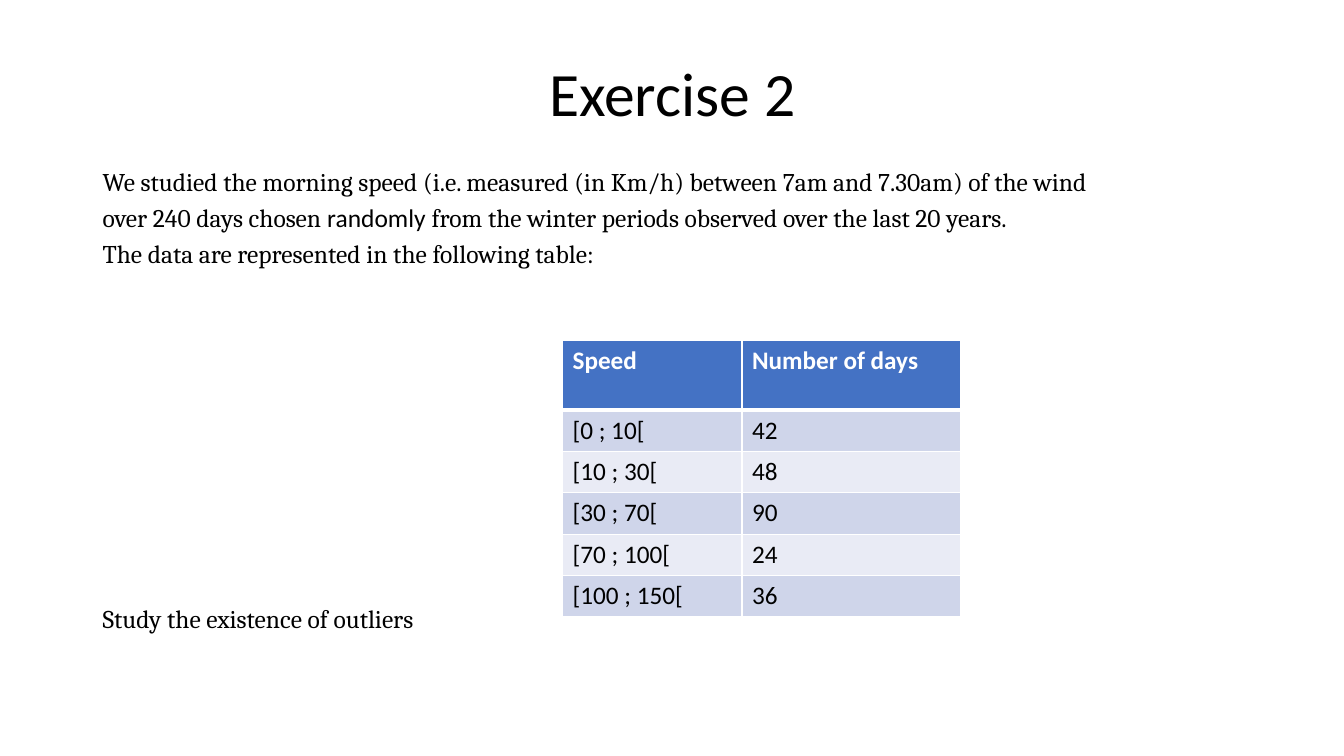
"""Build the Exercise 2 slide: wind speed data and a question on outliers."""
from lxml.etree import SubElement
from pptx import Presentation
from pptx.dml.color import RGBColor
from pptx.enum.text import MSO_ANCHOR, PP_ALIGN
from pptx.oxml.ns import qn
from pptx.util import Inches, Pt

TITLE = "Exercise 2"
INTRO = [
    [("We studied the morning speed (i.e. measured (in Km/h) between 7am and 7.30am) of the wind", "Cambria")],
    [("over 240 days chosen ", "Cambria"), ("randomly ", "Calibri"),
     ("from the winter periods observed over the last 20 years.", "Cambria")],
    [("The data are represented in the following table:", "Cambria")],
]
QUESTION = [[("Study the existence of outliers", "Cambria")]]
WIND = [
    ("Speed", "Number of days"),
    ("[0 ; 10[", "42"),
    ("[10 ; 30[", "48"),
    ("[30 ; 70[", "90"),
    ("[70 ; 100[", "24"),
    ("[100 ; 150[", "36"),
]
COLORS = {"text": "000000", "white": "FFFFFF", "header": "4472C4", "odd": "CFD5EA", "even": "E9EBF5"}
LEFT, WIDTH = 0.92, 11.5
COLUMNS = (1.78, 2.17)
HEADER_HEIGHT, ROW_HEIGHT = 0.69, 0.41


def rgb(name):
    return RGBColor.from_string(COLORS[name])


def style(font, size, color="text", bold=False):
    font.size, font.bold, font.color.rgb = Pt(size), bold, rgb(color)


def add_text(slide, top, height, paragraphs, size, spacing, align=PP_ALIGN.LEFT, anchor=MSO_ANCHOR.TOP):
    frame = slide.shapes.add_textbox(Inches(LEFT), Inches(top), Inches(WIDTH), Inches(height)).text_frame
    frame.word_wrap, frame.vertical_anchor = True, anchor
    for index, pieces in enumerate(paragraphs):
        paragraph = frame.add_paragraph() if index else frame.paragraphs[0]
        paragraph.alignment, paragraph.line_spacing = align, spacing
        paragraph.space_before = Pt(10.5 if index else 0)
        style(paragraph.font, size)
        if len({typeface for _, typeface in pieces}) == 1:
            paragraph.font.name = pieces[0][1]
        for words, typeface in pieces:
            run = paragraph.add_run()
            run.text = words
            if paragraph.font.name is None:
                run.font.name = typeface


def add_borders(cell, bottom):
    properties = cell._tc.get_or_add_tcPr()
    for index, (side, width) in enumerate((("L", 1), ("R", 1), ("T", 1), ("B", bottom))):
        line = SubElement(properties, qn(f"a:ln{side}"), w=str(Pt(width)))
        fill = SubElement(line, qn("a:solidFill"))
        SubElement(fill, qn("a:srgbClr"), val=COLORS["white"])
        properties.insert(index, line)


def add_wind_table(slide):
    height = HEADER_HEIGHT + ROW_HEIGHT * (len(WIND) - 1)
    table = slide.shapes.add_table(len(WIND), len(COLUMNS), Inches(5.58), Inches(3.38),
                                   Inches(sum(COLUMNS)), Inches(height)).table
    for column, width in zip(table.columns, COLUMNS):
        column.width = Inches(width)
    for r, values in enumerate(WIND):
        header = r == 0
        table.rows[r].height = Inches(HEADER_HEIGHT if header else ROW_HEIGHT)
        for c, value in enumerate(values):
            cell = table.cell(r, c)
            cell.text = value
            cell.fill.solid()
            cell.fill.fore_color.rgb = rgb("header" if header else "odd" if r % 2 else "even")
            font = cell.text_frame.paragraphs[0].font
            font.name = "Calibri"
            style(font, 18, "white" if header else "text", header)
            add_borders(cell, 3 if r == 0 else 1)
            if r == 1:
                cell._tc.tcPr.find(qn("a:lnT")).set("w", str(Pt(3)))


def main():
    deck = Presentation()
    deck.slide_width, deck.slide_height = Inches(13.33), Inches(7.5)
    slide = deck.slides.add_slide(deck.slide_layouts[6])
    add_text(slide, 0.23, 1.45, [[(TITLE, "Calibri")]], 44, 0.9, PP_ALIGN.CENTER, MSO_ANCHOR.MIDDLE)
    add_text(slide, 1.68, 1.2, INTRO, 18.2, 0.7)
    add_text(slide, 6.02, 0.4, QUESTION, 18.2, 0.7)
    add_wind_table(slide)
    deck.save("out.pptx")


if __name__ == "__main__":
    main()
